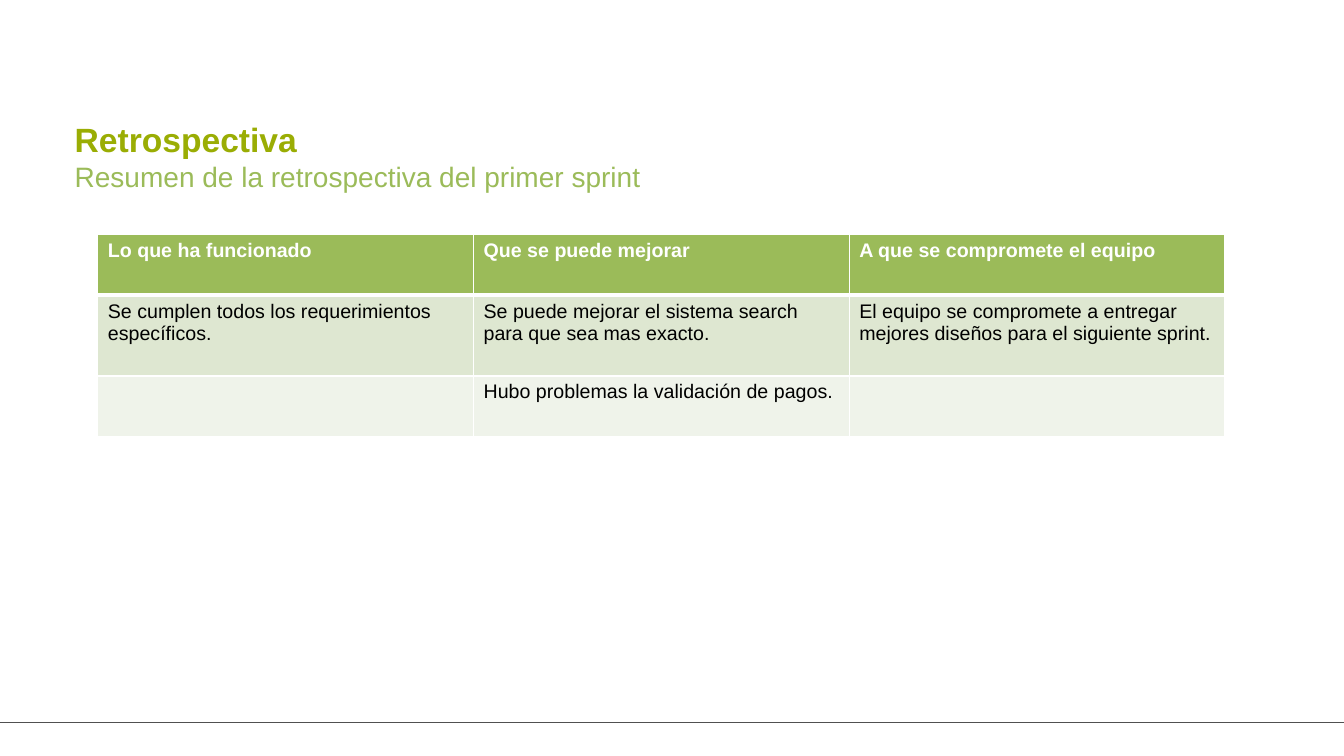
from lxml.etree import SubElement
from pptx import Presentation
from pptx.dml.color import RGBColor
from pptx.enum.shapes import MSO_CONNECTOR as CONNECTOR
from pptx.enum.text import MSO_ANCHOR as ANCHOR, MSO_AUTO_SIZE as AUTO_SIZE, PP_ALIGN as ALIGN
from pptx.oxml import parse_xml
from pptx.oxml.ns import nsdecls, qn
from pptx.util import Inches, Pt

HEADERS = ["Lo que ha funcionado", "Que se puede mejorar", "A que se compromete el equipo"]
ROWS = [
    ["Se cumplen todos los requerimientos específicos.",
     "Se puede mejorar el sistema search para que sea mas exacto.",
     "El equipo se compromete a entregar mejores diseños para el siguiente sprint."],
    ["", "Hubo problemas la validación de pagos.", ""],
]


def rgb(value):
    """Turn a hex string into a colour."""
    return RGBColor.from_string(value)


def write(tf, text, size=14, color="000000", bold=False, font="Arial"):
    """Put one formatted, left-aligned line of text in a frame."""
    p = tf.paragraphs[0]
    p.alignment = ALIGN.LEFT
    p.space_before = Pt(0)
    if text:
        r = p.add_run()
        r.text = text
        r.font.name, r.font.size, r.font.bold = font, Pt(size), bold
        r.font.color.rgb = rgb(color)
    return p


class RetroSlide:
    """Hold the style and the current slide."""

    green, olive, white, gray = "9BBB59", "9AAD04", "FFFFFF", "505050"
    bands = ["DEE7D1", "EFF3EA"]

    def __init__(self, prs):
        self.s = prs.slides.add_slide(prs.slide_layouts[1])

    def placeholder(self, idx, text, left, top, width, height, **style):
        """Move and fill a placeholder, without bullet or margins."""
        sp = self.s.placeholders[idx]
        sp.left, sp.top, sp.width, sp.height = map(Inches, (left, top, width, height))
        tf = sp.text_frame
        tf.margin_left = tf.margin_top = tf.margin_right = tf.margin_bottom = 0
        tf.word_wrap, tf.auto_size = True, AUTO_SIZE.NONE
        tf.vertical_anchor = ANCHOR.TOP
        pPr = write(tf, text, **style)._p.get_or_add_pPr()
        pPr.set("marL", "0")
        pPr.set("indent", "0")
        SubElement(pPr, qn("a:buNone"))

    def rule(self, left, top, width):
        """Draw a thin horizontal line."""
        ln = self.s.shapes.add_connector(CONNECTOR.STRAIGHT, Inches(left), Inches(top),
                                         Inches(left + width), Inches(top))
        ln.line.color.rgb = rgb(self.gray)
        ln.line.width = Pt(0.75)
        SubElement(ln._element.spPr, qn("a:effectLst"))

    def cell(self, cell, text, fill, top=1, bottom=1, **style):
        """Fill a cell and give it white borders."""
        write(cell.text_frame, text, **style)
        cell.fill.solid()
        cell.fill.fore_color.rgb = rgb(fill)
        tcPr = cell._tc.get_or_add_tcPr()
        for i, (side, width) in enumerate(zip("LRTB", (1, 1, top, bottom))):
            tcPr.insert(i, parse_xml(
                f'<a:ln{side} {nsdecls("a")} w="{Pt(width)}"><a:solidFill>'
                f'<a:srgbClr val="{self.white}"/></a:solidFill></a:ln{side}>'))

    def table(self, headers, rows, left, top, width, heights):
        """Add a table with a header and banded rows."""
        table = self.s.shapes.add_table(len(rows) + 1, len(headers), Inches(left), Inches(top),
                                        Inches(width), Inches(sum(heights))).table
        for row, height in zip(table.rows, heights):
            row.height = Inches(height)
        for c, text in enumerate(headers):
            self.cell(table.cell(0, c), text, self.green, bottom=3, color=self.white, bold=True)
        for r, texts in enumerate(rows):
            for c, text in enumerate(texts):
                self.cell(table.cell(r + 1, c), text, self.bands[r % 2], top=1 if r else 3)


def main():
    """Build the retrospective slide."""
    prs = Presentation()
    prs.slide_width, prs.slide_height = Inches(13.33), Inches(7.5)
    slide = RetroSlide(prs)
    slide.rule(0, 7.17, 13.33)
    slide.placeholder(0, "Retrospectiva", 0.74, 1.18, 11.33, 0.4,
                      size=24, color=slide.olive, bold=True)
    slide.placeholder(1, "Resumen de la retrospectiva del primer sprint",
                      0.74, 1.58, 11.86, 0.34, size=20, color=slide.green)
    slide.table(HEADERS, ROWS, 0.97, 2.33, 11.18, [0.6, 0.8, 0.6])
    prs.save("out.pptx")


if __name__ == "__main__":
    main()
